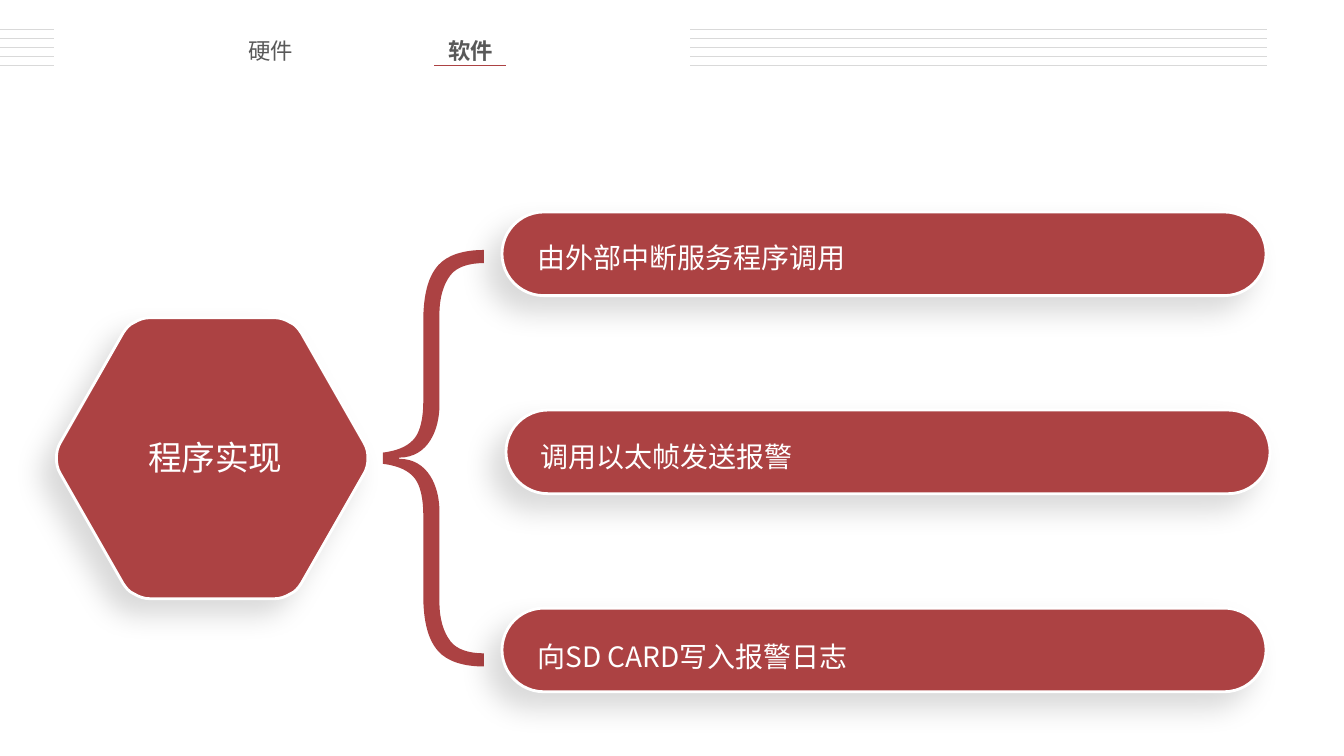
import lxml.etree
import pptx
import pptx.dml.color
import pptx.enum.shapes
import pptx.enum.text
import pptx.oxml
import pptx.oxml.ns
import pptx.util

RED, WHITE, GREY, RULE = "AC4243", "FFFFFF", "595959", "D9D9D9"
MIDDLE_COLUMN, MIDDLE_ROW = 21.05, 45.46
HEXAGON_QUARTER = [
    [(36.5, 45.46), (36.5, 44.9), (36.4, 44.4), (36.1, 43.9)],
    [(29.9, 33.05), (29.6, 32.6), (29.3, 32.2), (28.8, 32)],
    [(28.8, 32), (28.3, 31.7), (27.8, 31.52), (27.2, 31.52)],
]
BRACE_HALF = [
    [(38, 44.9), (39.6, 44.7), (40.6, 44.2), (41.2, 43.4)],
    [(41.2, 43.4), (41.7, 42.7), (42, 41.5), (42, 39.8)],
    [(42, 31.9), (42, 29.2), (42.5, 27.4), (43.5, 26.3)],
    [(43.5, 26.3), (44.4, 25.3), (46, 24.8), (48, 24.8)],
    [(48, 26.1), (46.5, 26.1), (45.3, 26.5), (44.7, 27.3)],
    [(44.7, 27.3), (44, 28.2), (43.6, 29.5), (43.6, 31.2)],
    [(43.6, 40.2), (43.6, 42.6), (42.5, 45.4), (39.6, 45.4)],
]
BULLETS = [
    ("由外部中断服务程序调用", 49.8, 53.3, 53.2),
    ("调用以太帧发送报警", 50.2, 53.6, 49.2),
    ("向SD CARD写入报警日志", 49.8, 53.3, 49.2),
]


def color(hex_string):
    """Return the RGB colour for a hex string."""
    return pptx.dml.color.RGBColor.from_string(hex_string)


def apply(target, values):
    """Set every attribute named in a dict of format values."""
    for name, value in values.items():
        setattr(target, name, value)


def mirror_rows(curves):
    """Append the curves reflected across the middle row."""
    return curves + [[(x, 2 * MIDDLE_ROW - y) for x, y in reversed(curve)]
                     for curve in reversed(curves)]


def mirror_columns(curves):
    """Append the curves reflected across the hexagon's middle column."""
    return curves + [[(2 * MIDDLE_COLUMN - x, y) for x, y in reversed(curve)]
                     for curve in reversed(curves)]


class SlideBuilder:
    """Hold the style and the current slide, on a grid of 133.33 by 75 cells."""

    font = "Noto Sans CJK SC"
    columns, rows = 133.33, 75

    def __init__(self, presentation):
        """Add a blank slide and measure its grid."""
        self.slide = presentation.slides.add_slide(presentation.slide_layouts[6])
        self.column = presentation.slide_width / self.columns
        self.row = presentation.slide_height / self.rows

    def place(self, *lengths):
        """Convert alternating columns and rows to slide lengths."""
        units = (self.column, self.row) * 2
        return [round(length * unit) for length, unit in zip(lengths, units)]

    def paint(self, shape, raised):
        """Fill a shape red, with a white edge and soft shadow if raised."""
        shape.fill.solid()
        shape.fill.fore_color.rgb = color(RED)
        shape.shadow.inherit = False
        if not raised:
            shape.line.fill.background()
            return
        shape.line.color.rgb = color(WHITE)
        shape.line.width = pptx.util.Pt(2)
        effects = shape._element.spPr.find(pptx.oxml.ns.qn("a:effectLst"))
        effects.append(pptx.oxml.parse_xml(
            f'<a:outerShdw {pptx.oxml.ns.nsdecls("a")} blurRad="{pptx.util.Pt(20)}" '
            f'dist="{pptx.util.Pt(15)}" dir="8100000" algn="tr" rotWithShape="0">'
            '<a:srgbClr val="000000"><a:alpha val="15000"/></a:srgbClr></a:outerShdw>'
        ))

    def outline(self, curves, raised=False):
        """Draw a closed outline of cubic curves joined by straight lines."""
        curves = [[self.place(*point) for point in curve] for curve in curves]
        anchors = [point for curve in curves for point in (curve[0], curve[-1])]
        builder = self.slide.shapes.build_freeform(*anchors[0])
        builder.add_line_segments(anchors[1:], close=True)
        shape = builder.convert_to_shape()
        route = next(shape._element.iter(pptx.oxml.ns.qn("a:path")))
        for command in list(route):
            route.remove(command)

        def draw(name, points=()):
            """Append one drawing command to the outline."""
            command = lxml.etree.SubElement(route, pptx.oxml.ns.qn(name))
            for x, y in points:
                lxml.etree.SubElement(command, pptx.oxml.ns.qn("a:pt"),
                                      x=str(x - shape.left), y=str(y - shape.top))

        current = curves[0][0]
        draw("a:moveTo", [current])
        for start, *others in curves:
            if start != current:
                draw("a:lnTo", [start])
            draw("a:cubicBezTo", others)
            current = others[-1]
        draw("a:close")
        self.paint(shape, raised)

    def pill(self, *box):
        """Draw a raised bar with round ends."""
        shape = self.slide.shapes.add_shape(
            pptx.enum.shapes.MSO_SHAPE.ROUNDED_RECTANGLE, *self.place(*box))
        shape.adjustments[0] = 0.5
        self.paint(shape, raised=True)

    def line(self, begin, end, row, hex_string):
        """Draw a thin horizontal line."""
        connector = self.slide.shapes.add_connector(
            pptx.enum.shapes.MSO_CONNECTOR.STRAIGHT,
            *self.place(begin, row, end, row))
        connector.line.color.rgb = color(hex_string)
        connector.line.width = pptx.util.Pt(0.5)
        connector._element.spPr.append(pptx.oxml.parse_xml(
            f'<a:effectLst {pptx.oxml.ns.nsdecls("a")}/>'))

    def text(self, words, box, size, hex_string, bold=False, frame=None, paragraph=None):
        """Add one line of text with its frame and paragraph formats."""
        text_frame = self.slide.shapes.add_textbox(*self.place(*box)).text_frame
        apply(text_frame, {"word_wrap": True, **(frame or {})})
        line = text_frame.paragraphs[0]
        apply(line, paragraph or {})
        run = line.add_run()
        run.text = words
        apply(run.font, {"name": self.font, "size": pptx.util.Pt(size), "bold": bold})
        run.font.color.rgb = color(hex_string)
        east_asian = pptx.oxml.parse_xml(
            f'<a:ea {pptx.oxml.ns.nsdecls("a")} typeface="{self.font}"/>')
        run.font._element.find(pptx.oxml.ns.qn("a:latin")).addnext(east_asian)


def main():
    """Build the slide and save it."""
    presentation = pptx.Presentation()
    presentation.slide_width = pptx.util.Inches(40) // 3
    presentation.slide_height = pptx.util.Inches(7.5)
    builder = SlideBuilder(presentation)

    builder.outline(mirror_rows(mirror_columns(HEXAGON_QUARTER)), raised=True)
    builder.outline(mirror_rows(BRACE_HALF))
    builder.text("程序实现", (13.7, 42.9, 23.5, 5), 24, WHITE)

    no_margins = {f"margin_{side}": 0 for side in ("left", "top", "right", "bottom")}
    for index, (words, pill_left, text_left, width) in enumerate(BULLETS):
        builder.pill(pill_left, 21.03 + 19.65 * index, 75.8, 8.3)
        builder.text(words, (text_left, 22.22 + 19.76 * index, width, 5), 20, WHITE,
                     frame=no_margins, paragraph={"line_spacing": 1.5})

    for begin, end in ((0, 5.34), (68.46, 125.7)):
        for index in range(5):
            builder.line(begin, end, 2.9 + 0.9 * index, RULE)

    builder.line(43.06, 50.2, 6.5, RED)
    for words, left, bold in (("硬件", 23.6, False), ("软件", 43.5, True)):
        builder.text(words, (left, 3.2, 6.45, 3.7), 16, GREY, bold,
                     frame={"word_wrap": False},
                     paragraph={"alignment": pptx.enum.text.PP_ALIGN.CENTER})

    presentation.save("out.pptx")


if __name__ == "__main__":
    main()
